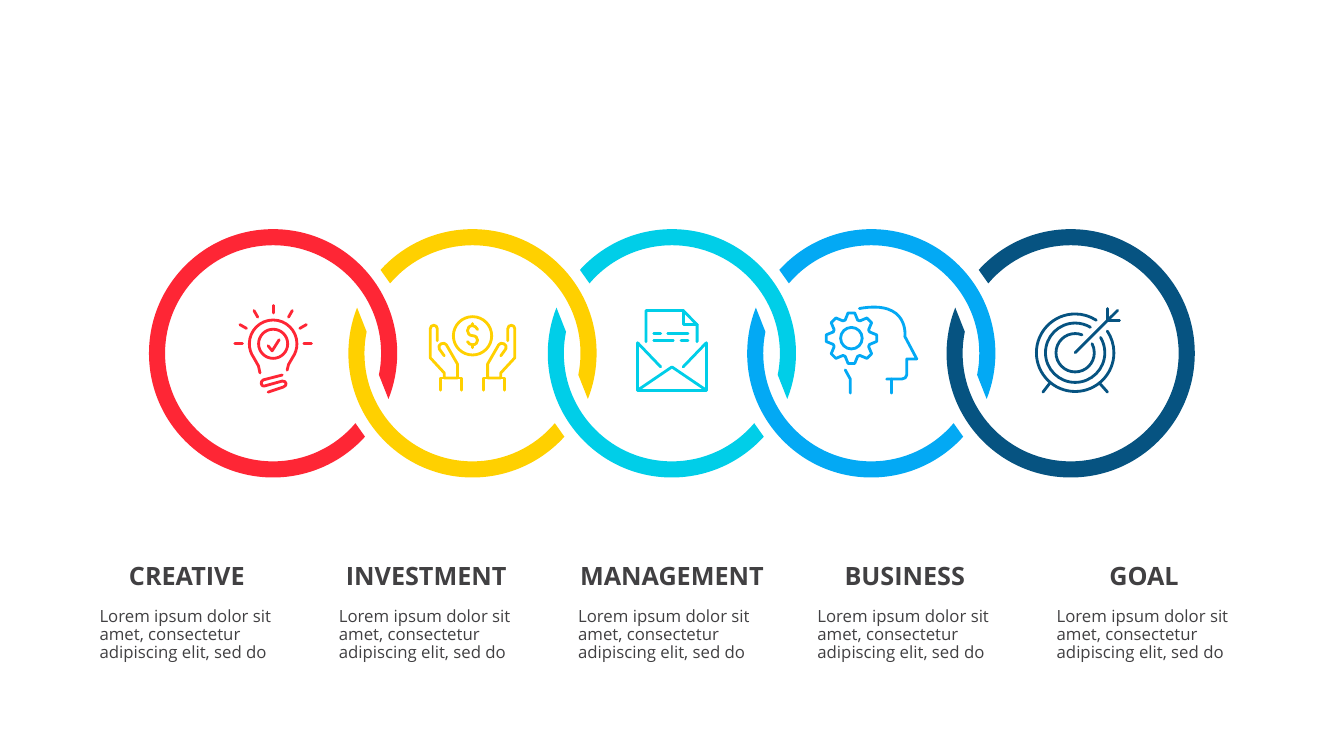
from math import cos, radians, sin, tan

from lxml import etree
from pptx import Presentation
from pptx.dml.color import RGBColor
from pptx.enum.text import PP_ALIGN
from pptx.util import Pt

LEFT, CENTER = PP_ALIGN.LEFT, PP_ALIGN.CENTER
RED = RGBColor(0xFE, 0x26, 0x35)
YELLOW = RGBColor(0xFF, 0xD0, 0x00)
CYAN = RGBColor(0x00, 0xCE, 0xE8)
BLUE = RGBColor(0x03, 0xA9, 0xF4)
NAVY = RGBColor(0x06, 0x53, 0x81)
GREY = RGBColor(0x41, 0x40, 0x42)

FONT = "Open Sans"
BODY = "Lorem ipsum dolor sit amet, consectetur adipiscing elit, sed do"
RING_X, RING_Y, RING_STEP = 195.2, 252.4, 142.5
OUTER, INNER = 88.7, 77.2
TEXT_X, TEXT_STEP = 64.1, 171

prs = Presentation()
prs.slide_width, prs.slide_height = Pt(960.5), Pt(540)
slide = prs.slides.add_slide(prs.slide_layouts[6])


def arc(x, y, radius, start, end):
    """A start point, then one cubic curve (six numbers) per quadrant."""
    low, high = min(start, end), max(start, end)
    cuts = [low, *[a for a in range(0, 721, 90) if low < a < high], high]
    if start > end:
        cuts.reverse()
    nodes = [(x + radius * cos(radians(start)), y + radius * sin(radians(start)))]
    for a, b in zip(map(radians, cuts), map(radians, cuts[1:])):
        pull = 4 / 3 * tan((b - a) / 4)
        nodes.append((x + radius * (cos(a) - pull * sin(a)),
                      y + radius * (sin(a) + pull * cos(a)),
                      x + radius * (cos(b) + pull * sin(b)),
                      y + radius * (sin(b) - pull * cos(b)),
                      x + radius * cos(b), y + radius * sin(b)))
    return nodes


def draw(strokes, x, close):
    """Join strokes, given from the ring centre at x, into one freeform."""
    paths = [[(Pt(x + px), Pt(RING_Y + py)) for node in stroke
              for px, py in zip(node[::2], node[1::2])] for stroke in strokes]
    pen = slide.shapes.build_freeform(*paths[0][0])
    for i, points in enumerate(paths):
        if i:
            pen.move_to(*points[0])
        pen.add_line_segments(points[1:], close=close)
    shape = pen.convert_to_shape()
    shape.shadow.inherit = False
    # Merge the three points of each curve into one cubic segment
    parts = iter(list(shape._element.iter("{*}lnTo")))
    for node in [node for stroke in strokes for node in stroke[1:]]:
        part = next(parts)
        if len(node) == 6:
            part.tag = part.tag.replace("lnTo", "cubicBezTo")
            for extra in (next(parts), next(parts)):
                part.append(extra[0])
                extra.getparent().remove(extra)
    return shape


# Icons: lists of strokes in points from the ring centre
bulb = [
    [(-9.4, 14), (-10.5, 9), *arc(0, -6.8, 17, 145, 395), (11, 8), (10, 12)],
    arc(0, -6.8, 10.4, 0, 360),
    [(-3.6, -5.4), (-0.7, -1.8), (4.3, -9.7)],
    [(6.5, 15.5), (-7.2, 19), (-9.4, 20, -8.6, 23.8, -6.5, 23.4),
     (6.5, 19.8), (9.6, 19.4, 10.4, 23.2, 7.2, 24.1), (-3.6, 27.7)],
]
for angle in range(180, 361, 30):
    ray_x, ray_y = cos(radians(angle)), sin(radians(angle))
    bulb.append([(r * ray_x, r * ray_y - 6.8) for r in (22, 27.4)])

hand = [
    [(-20.2, 1.8), (-23.8, -3.2), (-24.5, -4.7, -23.8, -6.1, -22.5, -6.8),
     (-21, -7.6, -19.4, -7.2, -18.7, -6.1), (-10.8, 7.6), (-10.8, 17.6),
     (-20.2, 17.6), (-20.2, 14), (-30.2, 3.2), (-30.2, -17.6),
     (-30.2, -20.8, -25.2, -20.8, -25.2, -17.6), (-25.2, -9)],
    [(-8, 26.3), (-8, 17.6), (-23, 17.6), (-23, 26.3)],
]
coin = hand + [[(-n if i % 2 == 0 else n) for i, n in enumerate(())]
               for _ in ()]
for stroke in hand[:]:
    coin.append([tuple(n if i % 2 else -n for i, n in enumerate(node))
                 for node in stroke])
coin += [
    arc(0, -12.5, 13.7, 0, 360),
    [(-3.6, -8.3), (-2.9, -6.9, -1.4, -6.1, 0, -6.1),
     (4.8, -6.1, 4.8, -12.6, 0, -12.6), (-4.8, -12.6, -4.8, -19.8, 0, -19.8),
     (1.4, -19.8, 2.9, -18.4, 3.6, -17)],
    [(0, -19.8), (0, -21.2)],
    [(0, -6.1), (0, -4)],
]

letter = [
    [(24.5, -7.5), (24.5, 26.3), (-24.5, 26.3), (-24.5, -7.5)],
    [(24.5, 26.3), (0, 9.7), (-24.5, 26.3)],
    [(24.5, -7.5), (8, 9.7)],
    [(-24.5, -7.5), (-8, 9.7)],
    [(18, -8.3), (18, -20.5), (8, -30.6), (-18.5, -30.6), (-18.5, -8.3)],
    [(8, -30.6), (8, -20.5), (18, -20.5)],
]
for start, end, y in ((-13, -8, -14), (-3, 11.5, -14),
                      (-13, 1, -9), (6.5, 11.5, -9)):
    letter.append([(start, y), (end, y)])

gear = []
for tooth in range(0, 360, 45):
    for turn, radius in ((-19, 13.7), (-7.5, 18.2), (7.5, 18.2), (19, 13.7)):
        angle = radians(tooth + turn)
        gear.append((-14.2 + radius * cos(angle), -10.8 + radius * sin(angle)))
head = [
    gear + gear[:1],
    arc(-14.2, -10.8, 7.7, 0, 360),
    [(-8.5, -32), (27.5, -38.5, 24, -12, 24, -12), (32.5, 4), (25.3, 4),
     (25.3, 15.5), (25.3, 17, 23.8, 18.4, 21.7, 18.4), (11, 18.4)],
    [(14.5, 18.4), (14.5, 28.4)],
    [(-15, 28.4), (-15, 18.4), (-18.6, 11.9)],
]

target = [
    arc(3.2, -0.4, 27.7, -34, 303),
    arc(3.2, -0.4, 21.2, -31, 301),
    arc(3.2, -0.4, 13.7, -28, 291),
    [(3.2, -0.4), (33.5, -30.6)],
    [(26.3, -32), (26.3, -23.4), (34.9, -23.4)],
    [(-19.8, 27.7), (-14.8, 21.2)],
    [(26.3, 27.7), (20.5, 21.2)],
]

# Each ring is one or two bands, cut where it meets its neighbours
FIRST, MIDDLE, LAST = [(0, 360)], [(0, 180), (180, 360)], [(180, 540)]
steps = [
    ("CREATIVE", RED, FIRST, bulb, 139),
    ("INVESTMENT", YELLOW, MIDDLE, coin, 139),
    ("MANAGEMENT", CYAN, MIDDLE, letter, 148.3),
    ("BUSINESS", BLUE, MIDDLE, head, 139),
    ("GOAL", NAVY, LAST, target, 139),
]

for i, (title, color, bands, icon, width) in enumerate(steps):
    x = RING_X + i * RING_STEP
    outline = [arc(0, 0, OUTER, start + 42.2, end + 21.6)
               + arc(0, 0, INNER, end + 11.5, start + 40.3)
               for start, end in bands]
    ring = draw(outline, x, True)
    ring.fill.solid()
    ring.fill.fore_color.rgb = color
    ring.line.fill.background()

    sign = draw(icon, x, False)
    sign.fill.background()
    sign.line.color.rgb = color
    sign.line.width = Pt(2)
    line = sign.line._get_or_add_ln()
    line.set("cap", "rnd")
    fill = line.find("{*}solidFill")
    etree.SubElement(line, fill.tag.replace("solidFill", "round"))

    for text, top, wide, high, size, bold, align in (
            (BODY, 430.6, 139, 80.6, 12, False, LEFT),
            (title, 398.9, width, 30.2, 18, True, CENTER)):
        box = slide.shapes.add_textbox(Pt(TEXT_X + i * TEXT_STEP), Pt(top),
                                       Pt(wide), Pt(high))
        box.text_frame.word_wrap = True
        para = box.text_frame.paragraphs[0]
        para.text = text
        para.alignment = align
        para.line_spacing = 0.9
        para.font.name = FONT
        para.font.size = Pt(size)
        para.font.bold = bold
        para.font.color.rgb = GREY

prs.save("out.pptx")
